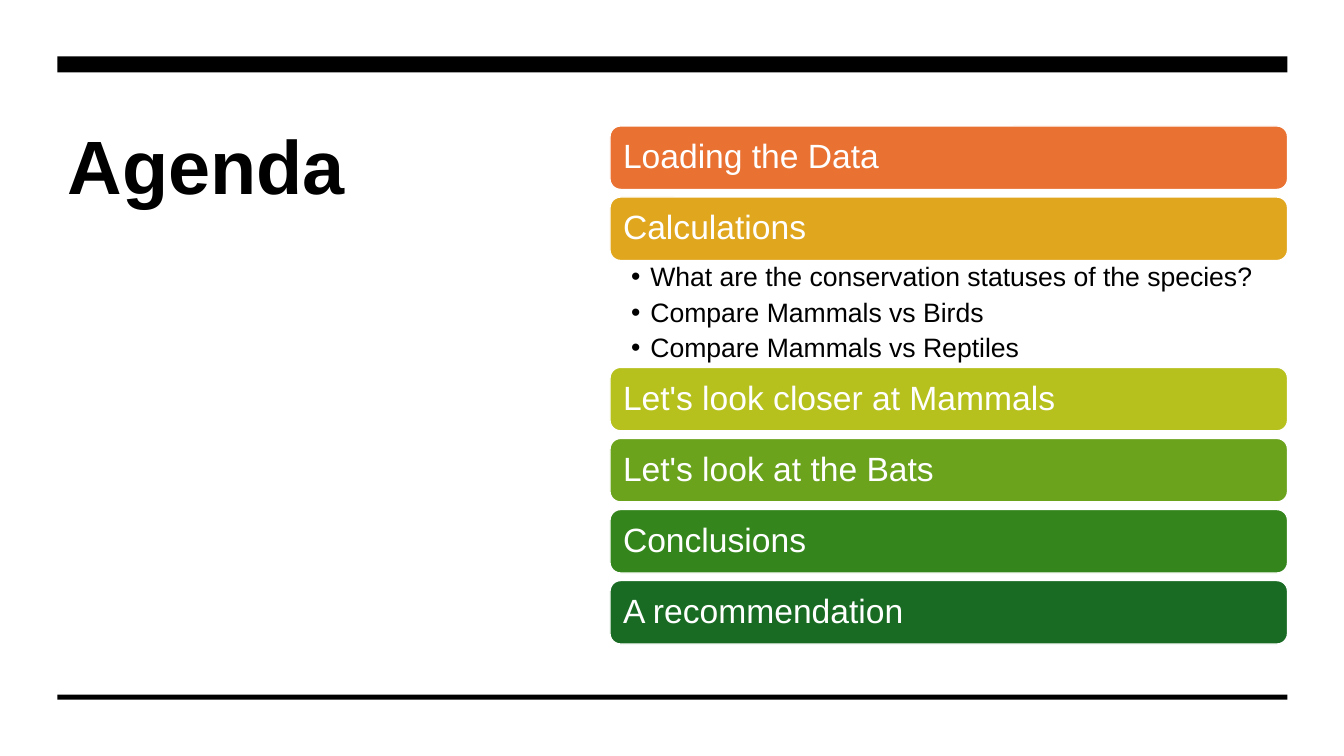
"""Build the agenda slide with coloured section bars."""
from lxml import etree
from pptx import Presentation
from pptx.dml.color import RGBColor
from pptx.enum.shapes import MSO_SHAPE
from pptx.enum.text import MSO_ANCHOR, MSO_AUTO_SIZE, PP_ALIGN
from pptx.oxml.ns import qn
from pptx.util import Inches, Pt

RECT, ROUND = MSO_SHAPE.RECTANGLE, MSO_SHAPE.ROUNDED_RECTANGLE
TOP, MIDDLE = MSO_ANCHOR.TOP, MSO_ANCHOR.MIDDLE
LEFT = PP_ALIGN.LEFT
NO_FIT = MSO_AUTO_SIZE.NONE

TITLE = "Agenda"
SECTIONS = [
    ("Loading the Data", "orange", []),
    ("Calculations", "gold", [
        "What are the conservation statuses of the species?",
        "Compare Mammals vs Birds",
        "Compare Mammals vs Reptiles",
    ]),
    ("Let's look closer at Mammals", "lime", []),
    ("Let's look at the Bats", "leaf", []),
    ("Conclusions", "green", []),
    ("A recommendation", "forest", []),
]
COLORS = {
    "black": "000000", "white": "FFFFFF", "orange": "E97132", "gold": "E0A61D",
    "lime": "B7C11E", "leaf": "6BA31D", "green": "34861C", "forest": "196B24",
}
RULES = [(0.56, 0.16), (6.89, 0.05)]
RULE_X, RULE_W = 0.57, 12.2
BAR_X, BAR_W, BAR_H = 6.05, 6.72, 0.63
LIST_TOP, LIST_BOTTOM, BULLETS_H = 1.25, 6.39, 1.06
BULLET_INDENT = 0.19

TITLE_FONT = {"size": Pt(54), "bold": True}
BAR_FONT = {"size": Pt(24)}
BULLET_FONT = {"size": Pt(19)}


def rgb(name):
    return RGBColor.from_string(COLORS[name])


def place(sp, x, y, w, h):
    sp.left, sp.top, sp.width, sp.height = map(Inches, (x, y, w, h))


def add_box(s, kind, x, y, w, h, color):
    sp = s.shapes.add_shape(kind, *map(Inches, (x, y, w, h)))
    sp.shadow.inherit = False
    sp.fill.solid()
    sp.fill.fore_color.rgb = rgb(color)
    sp.line.fill.background()
    return sp


def write(sp, lines, font, color, anchor, insets, spacing=1.0, after=0, bullet=False):
    tf = sp.text_frame
    tf.word_wrap, tf.auto_size, tf.vertical_anchor = True, NO_FIT, anchor
    for side, inset in zip(("left", "top", "right", "bottom"), insets):
        setattr(tf, f"margin_{side}", Inches(inset))
    for i, line in enumerate(lines):
        p = tf.add_paragraph() if i else tf.paragraphs[0]
        p.alignment, p.line_spacing = LEFT, spacing
        p.space_before, p.space_after = Pt(0), Pt(after)
        if bullet:
            pPr = p._p.get_or_add_pPr()
            pPr.set("marL", str(Inches(BULLET_INDENT)))
            pPr.set("indent", str(-Inches(BULLET_INDENT)))
            etree.SubElement(pPr, qn("a:buChar")).set("char", "•")
        r = p.add_run()
        r.text = line
        r.font.name, r.font.color.rgb = "Arial", rgb(color)
        for key, value in font.items():
            setattr(r.font, key, value)


def main():
    prs = Presentation()
    prs.slide_width, prs.slide_height = Inches(13.33), Inches(7.5)
    s = prs.slides.add_slide(prs.slide_layouts[1])
    title, body = s.placeholders

    place(title, RULE_X, 1.07, 4.69, 3.68)
    write(title, [TITLE], TITLE_FONT, "black", TOP, (0.1, 0.11, 0.1, 0.05))
    for y, h in RULES:
        add_box(s, RECT, RULE_X, y, RULE_W, h, "black")

    lists = sum(bool(bullets) for _, _, bullets in SECTIONS)
    used = len(SECTIONS) * BAR_H + lists * BULLETS_H
    gap = (LIST_BOTTOM - LIST_TOP - used) / (len(SECTIONS) - 1 - lists)
    y = LIST_TOP
    for text, color, bullets in SECTIONS:
        bar = add_box(s, ROUND, BAR_X, y, BAR_W, BAR_H, color)
        bar.line.color.rgb, bar.line.width = rgb("white"), Pt(1)
        write(bar, [text], BAR_FONT, "white", MIDDLE, (0.1, 0.1, 0.1, 0.1), 0.9)
        y += BAR_H
        if bullets:
            place(body, BAR_X, y, BAR_W, BULLETS_H)
            write(body, bullets, BULLET_FONT, "black", TOP,
                  (0.21, 0.03, 0.19, 0.03), 0.9, 5, True)
            y += BULLETS_H
        else:
            y += gap

    prs.save("out.pptx")


if __name__ == "__main__":
    main()
